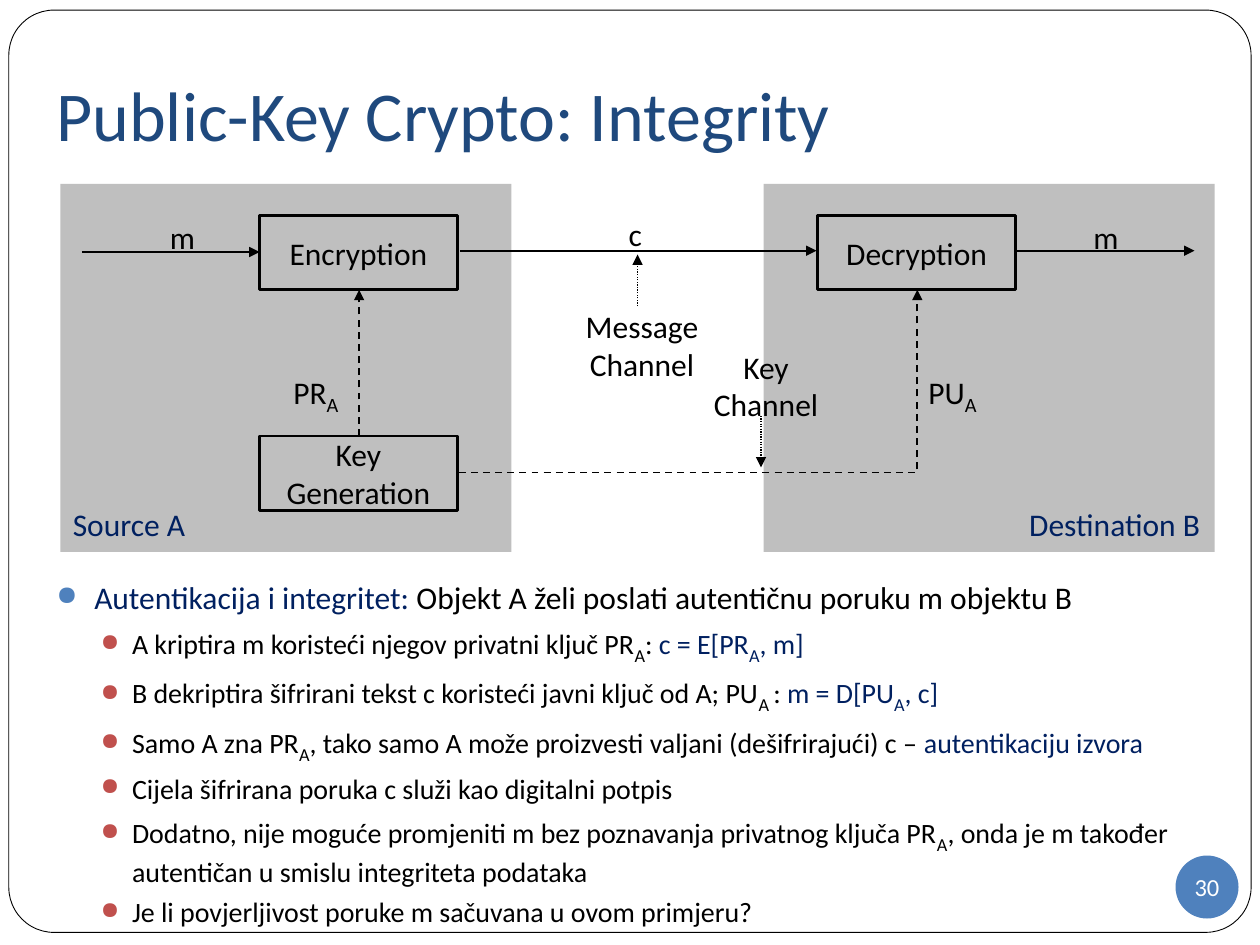
from pptx import Presentation
from pptx.util import Inches, Pt
from pptx.dml.color import RGBColor
from pptx.enum.dml import MSO_LINE
from pptx.enum.shapes import MSO_SHAPE, MSO_CONNECTOR
from pptx.enum.text import PP_ALIGN, MSO_ANCHOR
from lxml.etree import SubElement
from pptx.oxml.ns import qn

C = {"black": "000000", "white": "FFFFFF", "title": "1F497D", "navy": "002060",
     "blue": "4F81BD", "red": "C0504D", "gray": "BFBFBF"}

prs = Presentation()
prs.slide_width, prs.slide_height = Inches(10), Inches(7.5)
s = prs.slides.add_slide(prs.slide_layouts[6])


def add_box(kind, x, y, w, h, fill=None, line=None):
    """Preset shape, or a text box when kind is None."""
    at = [Inches(v) for v in (x, y, w, h)]
    if kind is None:
        return s.shapes.add_textbox(*at)
    sp = s.shapes.add_shape(kind, *at)
    sp.shadow.inherit = False
    if fill:
        sp.fill.solid()
        sp.fill.fore_color.rgb = RGBColor.from_string(C[fill])
    else:
        sp.fill.background()
    if line:
        sp.line.color.rgb = RGBColor.from_string(C["black"])
        sp.line.width = Pt(line)
    else:
        sp.line.fill.background()
    return sp


def write(p, runs, size=18, sub=20):
    """Add (text, colour) runs; text starting with '_' is a subscript."""
    for text, color in runs:
        r = p.add_run()
        r.text = text.lstrip("_")
        r.font.name = "Calibri"
        r.font.size = Pt(size)
        r.font.color.rgb = RGBColor.from_string(C[color])
        if text.startswith("_"):
            r.font.size = Pt(sub)
            r._r.get_or_add_rPr().set("baseline", "-25000")


# Frame and title
frame = add_box(MSO_SHAPE.ROUNDED_RECTANGLE, 0.07, 0.08, 9.86, 7.32, "white", 0.5)
frame.adjustments[0] = 0.049
tf = add_box(None, 0.35, 0.3, 9.37, 1.25).text_frame
tf.word_wrap = True
tf.vertical_anchor = MSO_ANCHOR.MIDDLE
tf.margin_bottom = Inches(0.1)
write(tf.paragraphs[0], [("Public-Key Crypto: Integrity", "title")], 40)

# Bulleted text: level, runs
bullets = [
    (0, [("Autentikacija i integritet: ", "navy"),
         ("Objekt A želi poslati autentičnu poruku m objektu B", "black")]),
    (1, [("A kriptira m koristeći njegov privatni ključ PR", "black"), ("_A", "black"),
         (": ", "black"), ("c = E[PR", "navy"), ("_A", "navy"), (", m]", "navy")]),
    (1, [("B dekriptira šifrirani tekst c koristeći javni ključ od A; PU", "black"),
         ("_A ", "black"), (": ", "black"), ("m = D[PU", "navy"), ("_A", "navy"),
         (", c]", "navy")]),
    (1, [("Samo A zna PR", "black"), ("_A", "black"),
         (", tako samo A može proizvesti valjani (dešifrirajući) c – ", "black"),
         ("autentikaciju izvora", "navy")]),
    (1, [("Cijela šifrirana poruka c služi kao digitalni potpis", "black")]),
    (1, [("Dodatno, nije moguće promjeniti m bez poznavanja privatnog ključa PR", "black"),
         ("_A", "black"),
         (", onda je m također autentičan u smislu integriteta podataka", "black")]),
    (1, [("Je li povjerljivost poruke m sačuvana u ovom primjeru?", "black")]),
]
levels = [(0.3, -0.3, 5.8, 18, "blue"), (0.6, -0.25, 3.8, 16, "red")]
tf = add_box(None, 0.35, 4.54, 9.37, 2.68).text_frame
tf.word_wrap = True
for i, (level, runs) in enumerate(bullets):
    margin, indent, before, size, color = levels[level]
    p = tf.add_paragraph() if i else tf.paragraphs[0]
    p.level = level
    p.space_before = Pt(before)
    pPr = p._p.get_or_add_pPr()
    pPr.set("marL", str(Inches(margin)))
    pPr.set("indent", str(Inches(indent)))
    SubElement(SubElement(pPr, qn("a:buClr")), qn("a:srgbClr")).set("val", C[color])
    SubElement(pPr, qn("a:buSzPct")).set("val", "85000")
    SubElement(pPr, qn("a:buChar")).set("char", "●")
    write(p, runs, size, 18)

# Slide number
tf = add_box(MSO_SHAPE.OVAL, 9.33, 6.79, 0.5, 0.5, "blue").text_frame
tf.margin_left = tf.margin_right = tf.margin_top = tf.margin_bottom = 0
tf.word_wrap = False
tf.vertical_anchor = MSO_ANCHOR.MIDDLE
tf.paragraphs[0].alignment = PP_ALIGN.CENTER
write(tf.paragraphs[0], [("30", "white")], 14)

# Source and destination areas
for x in (6.06, 0.48):
    add_box(MSO_SHAPE.RECTANGLE, x, 1.46, 3.58, 2.92, "gray")

# Process boxes
for x, y, name in [(2.06, 1.71, "Encryption"), (6.49, 1.71, "Decryption"),
                   (2.06, 3.46, "Key Generation")]:
    tf = add_box(MSO_SHAPE.RECTANGLE, x, y, 1.57, 0.59, line=1.5).text_frame
    tf.word_wrap = True
    tf.vertical_anchor = MSO_ANCHOR.MIDDLE
    tf.paragraphs[0].alignment = PP_ALIGN.CENTER
    write(tf.paragraphs[0], [(name, "black")])

# Arrows: from, to, width, dash, bent
DASH, DOT = MSO_LINE.DASH, MSO_LINE.ROUND_DOT
arrows = [
    (0.65, 2, 2.06, 2, 1, None, False),
    (3.65, 1.99, 6.48, 1.99, 1, None, False),
    (8.06, 1.99, 9.48, 1.99, 1, None, False),
    (2.85, 3.46, 2.85, 2.3, 1, DASH, False),
    (5.06, 2.43, 5.06, 2.02, 0.75, DOT, False),
    (6.04, 3.3, 6.04, 3.71, 0.75, DOT, False),
    (3.64, 3.75, 7.28, 2.3, 1, DASH, True),
]
for x1, y1, x2, y2, width, dash, bent in arrows:
    kind = MSO_CONNECTOR.ELBOW if bent else MSO_CONNECTOR.STRAIGHT
    cn = s.shapes.add_connector(kind, *[Inches(v) for v in (x1, y1, x2, y2)])
    cn.line.color.rgb = RGBColor.from_string(C["black"])
    cn.line.width = Pt(width)
    if dash:
        cn.line.dash_style = dash
    spPr = cn._element.spPr
    SubElement(spPr.find(qn("a:ln")), qn("a:tailEnd")).set("type", "triangle")
    SubElement(spPr, qn("a:effectLst"))
    if bent:
        spPr.find(qn("a:prstGeom")).set("prst", "bentConnector2")

# Labels: left, top, width, lines of runs, alignment
LEFT, CENTER = PP_ALIGN.LEFT, PP_ALIGN.CENTER
labels = [
    (1.25, 1.68, 0.4, [[("m", "black")]], LEFT),
    (4.89, 1.66, 0.31, [[("c", "black")]], LEFT),
    (8.58, 1.68, 0.4, [[("m", "black")]], LEFT),
    (2.23, 2.88, 0.64, [[("PR", "black"), ("_A", "black")]], LEFT),
    (7.27, 2.88, 0.62, [[("PU", "black"), ("_A", "black")]], LEFT),
    (4.54, 2.39, 1.11, [[("Message", "black")], [("Channel", "black")]], CENTER),
    (5.56, 2.71, 1.04, [[("Key", "black")], [("Channel", "black")]], CENTER),
    (0.48, 3.96, 1.1, [[("Source A", "navy")]], LEFT),
    (8.07, 3.96, 1.58, [[("Destination B", "navy")]], LEFT),
]
for x, y, w, lines, align in labels:
    tf = add_box(None, x, y, w, 0.1 + 0.3 * len(lines)).text_frame
    tf.word_wrap = False
    for i, runs in enumerate(lines):
        p = tf.add_paragraph() if i else tf.paragraphs[0]
        p.alignment = align
        write(p, runs)

prs.save("out.pptx")
